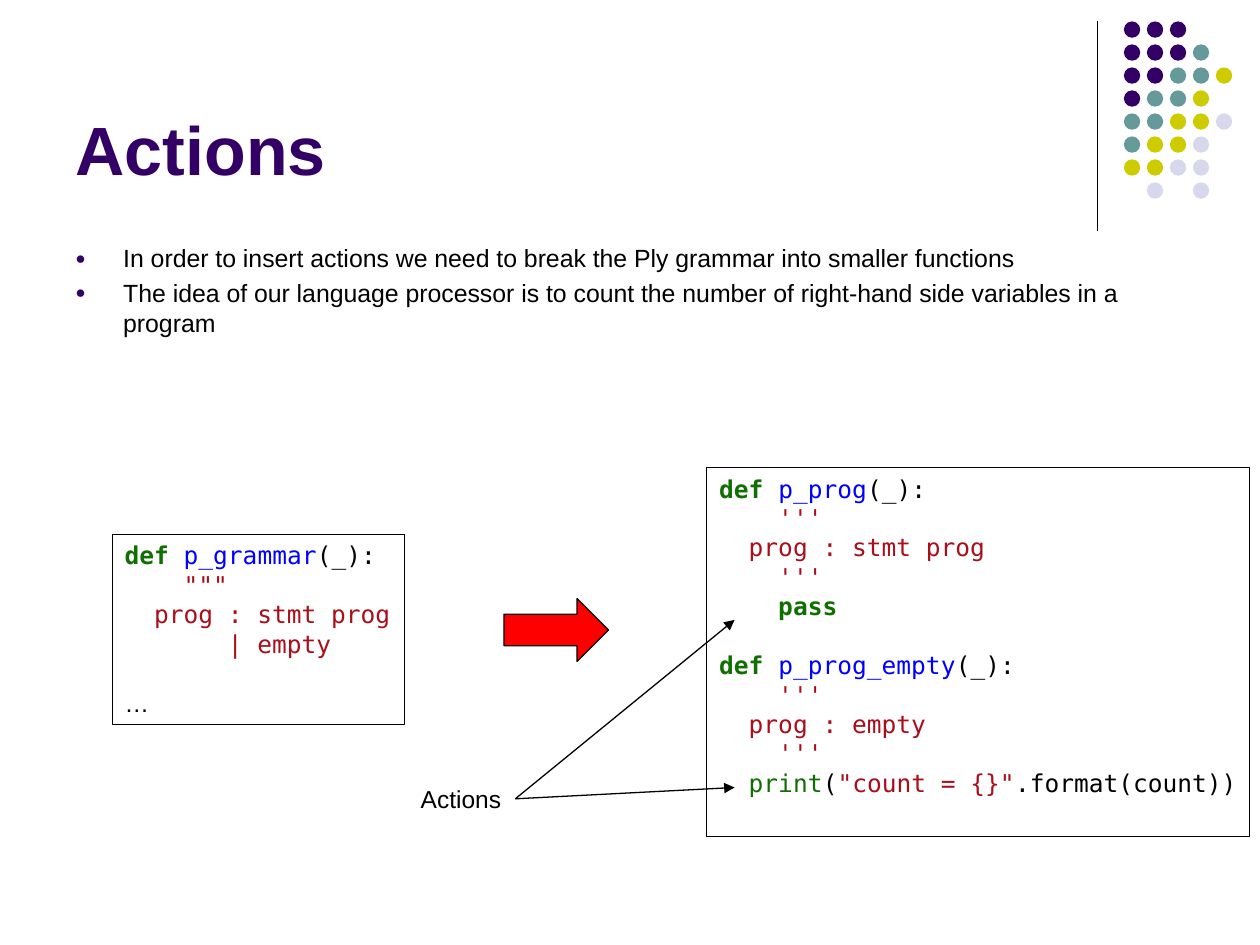
import pptx
import pptx.dml.color
import pptx.enum.shapes
import pptx.enum.text
import pptx.oxml.ns
import pptx.util
from lxml import etree

Inches = pptx.util.Inches
Pt = pptx.util.Pt
ANCHOR = pptx.enum.text.MSO_ANCHOR
SHAPE = pptx.enum.shapes.MSO_SHAPE

PURPLE, TEAL, OLIVE, PALE = "330066", "669999", "CCCC00", "D8D8EC"
BLACK, RED = "000000", "FF0000"
CODE_LINE = 16.8  # points, height of one line of code

MONO = "DejaVu Sans Mono"
CODE_STYLES = {
    "keyword": {"name": MONO, "color": "0F7001", "bold": True},
    "builtin": {"name": MONO, "color": "0F7001"},
    "function": {"name": MONO, "color": "0000FF"},
    "string": {"name": MONO, "color": "A90E1A"},
    "plain": {"name": MONO},
    "text": {},
}

DOT_COLORS = {"P": PURPLE, "T": TEAL, "O": OLIVE, "L": PALE}
DOT_ROWS = ["PPP", "PPPT", "PPTTO", "PTTO", "TTOOL", "TOOL", "OOLL", " L L"]

BULLETS = [
    "In order to insert actions we need to break the Ply grammar into smaller functions",
    "The idea of our language processor is to count the number of "
    "right-hand side variables in a program",
]


def signature(name):
    return [("def ", "keyword"), (name, "function"), ("(_):", "plain")]


def string_line(text):
    return [(text, "string")]


# None stands for a gap one line high
GRAMMAR_CODE = [
    signature("p_grammar"),
    string_line('    """'),
    string_line("  prog : stmt prog"),
    string_line("       | empty"),
    None,
    [("…", "text")],
]
FUNCTIONS_CODE = [
    signature("p_prog"),
    string_line("    '''"),
    string_line("  prog : stmt prog"),
    string_line("    '''"),
    [("    pass", "keyword")],
    None,
    signature("p_prog_empty"),
    string_line("    '''"),
    string_line("  prog : empty"),
    string_line("    '''"),
    [("  print", "builtin"), ("(", "plain"), ('"count = {}"', "string"),
     (".format(count))", "plain")],
]


def rgb(value):
    return pptx.dml.color.RGBColor.from_string(value)


def add_xml(parent, tag, **attributes):
    return etree.SubElement(parent, pptx.oxml.ns.qn(tag), attributes)


class SlideBuilder:
    base_font = {"name": "Arial", "size": Pt(14), "bold": False, "color": BLACK}

    def __init__(self, presentation):
        self.slide = presentation.slides.add_slide(presentation.slide_layouts[5])

    def format_font(self, font, **changes):
        for key, value in {**self.base_font, **changes}.items():
            if key == "color":
                font.color.rgb = rgb(value)
            else:
                setattr(font, key, value)

    def title(self, text, left, top, width, height):
        title = self.slide.shapes.title
        title.left, title.top = Inches(left), Inches(top)
        title.width, title.height = Inches(width), Inches(height)
        title.text_frame.vertical_anchor = ANCHOR.BOTTOM
        paragraph = title.text_frame.paragraphs[0]
        paragraph.text = text
        paragraph.alignment = pptx.enum.text.PP_ALIGN.LEFT
        self.format_font(paragraph.font, size=Pt(39), bold=True, color=PURPLE)

    def text_box(self, left, top, width, height, wrap=True):
        box = self.slide.shapes.add_textbox(
            Inches(left), Inches(top), Inches(width), Inches(height))
        box.text_frame.word_wrap = wrap
        return box

    def label(self, text, left, top, width, height):
        box = self.text_box(left, top, width, height, wrap=False)
        paragraph = box.text_frame.paragraphs[0]
        paragraph.text = text
        self.format_font(paragraph.font)
        return box

    def bullets(self, items, left, top, width, height):
        frame = self.text_box(left, top, width, height).text_frame
        for index, item in enumerate(items):
            paragraph = frame.paragraphs[0] if index == 0 else frame.add_paragraph()
            paragraph.text = item
            if index:
                paragraph.space_before = Pt(2.8)
            properties = paragraph._p.get_or_add_pPr()
            properties.set("marL", str(Inches(0.38)))
            properties.set("indent", str(-Inches(0.38)))
            add_xml(add_xml(properties, "a:buClr"), "a:srgbClr", val=PURPLE)
            add_xml(properties, "a:buSzPct", val="70000")
            add_xml(properties, "a:buFont", typeface="Arial")
            add_xml(properties, "a:buChar", char="●")
            self.format_font(paragraph.font, size=Pt(14.2))

    def shape(self, kind, left, top, width, height, fill=None, line=None):
        shape = self.slide.shapes.add_shape(
            kind, Inches(left), Inches(top), Inches(width), Inches(height))
        shape.shadow.inherit = False
        if fill:
            shape.fill.solid()
            shape.fill.fore_color.rgb = rgb(fill)
        else:
            shape.fill.background()
        if line:
            shape.line.color.rgb = rgb(line)
            shape.line.width = Pt(0.75)
        else:
            shape.line.fill.background()
        return shape

    def code_box(self, lines, left, top, width, height):
        box = self.shape(SHAPE.RECTANGLE, left, top, width, height, line=BLACK)
        frame = box.text_frame
        frame.word_wrap = False
        frame.vertical_anchor = ANCHOR.TOP
        for index, line in enumerate(lines):
            if line is None:
                continue
            paragraph = frame.paragraphs[0] if index == 0 else frame.add_paragraph()
            paragraph.alignment = pptx.enum.text.PP_ALIGN.LEFT
            if index and lines[index - 1] is None:
                paragraph.space_before = Pt(CODE_LINE)
            for text, style in line:
                run = paragraph.add_run()
                run.text = text
                self.format_font(run.font, **CODE_STYLES[style])

    def line(self, start, end, source=None, arrow=False):
        connector = self.slide.shapes.add_connector(
            pptx.enum.shapes.MSO_CONNECTOR.STRAIGHT,
            *(Inches(value) for value in (*start, *end)))
        if source is not None:
            connector.begin_connect(source, 3)
        connector.line.color.rgb = rgb(BLACK)
        connector.line.width = Pt(0.75)
        if arrow:
            add_xml(connector.line._get_or_add_ln(), "a:tailEnd", type="triangle")
        add_xml(connector._element.spPr, "a:effectLst")

    def dot_grid(self, rows, left, top, pitch, size):
        for row, codes in enumerate(rows):
            for column, code in enumerate(codes):
                if code in DOT_COLORS:
                    self.shape(SHAPE.OVAL, left + column * pitch, top + row * pitch,
                               size, size, fill=DOT_COLORS[code])


def main():
    presentation = pptx.Presentation()
    presentation.slide_width, presentation.slide_height = Inches(10), Inches(7.5)
    builder = SlideBuilder(presentation)

    # Corner decoration
    builder.line((8.71, 0.17), (8.71, 1.83))
    builder.dot_grid(DOT_ROWS, 8.92, 0.17, pitch=0.73 / 4, size=0.13)

    # Title and bullets
    builder.title("Actions", 0.5, 0.13, 8.25, 1.42)
    builder.bullets(BULLETS, 0.5, 1.88, 9, 0.79)

    # Grammar before and after the split
    builder.code_box(GRAMMAR_CODE, 0.89, 4.24, 2.32, 1.51)
    builder.code_box(FUNCTIONS_CODE, 5.61, 3.71, 4.31, 2.93)
    builder.shape(SHAPE.RIGHT_ARROW, 4, 4.75, 0.83, 0.5, fill=RED, line=BLACK)

    # Label pointing at the actions
    label = builder.label("Actions", 3.24, 6.17, 0.85, 0.34)
    for target in ((5.83, 4.92), (5.83, 6.25)):
        builder.line((4.09, 6.34), target, source=label, arrow=True)

    presentation.save("out.pptx")


if __name__ == "__main__":
    main()
